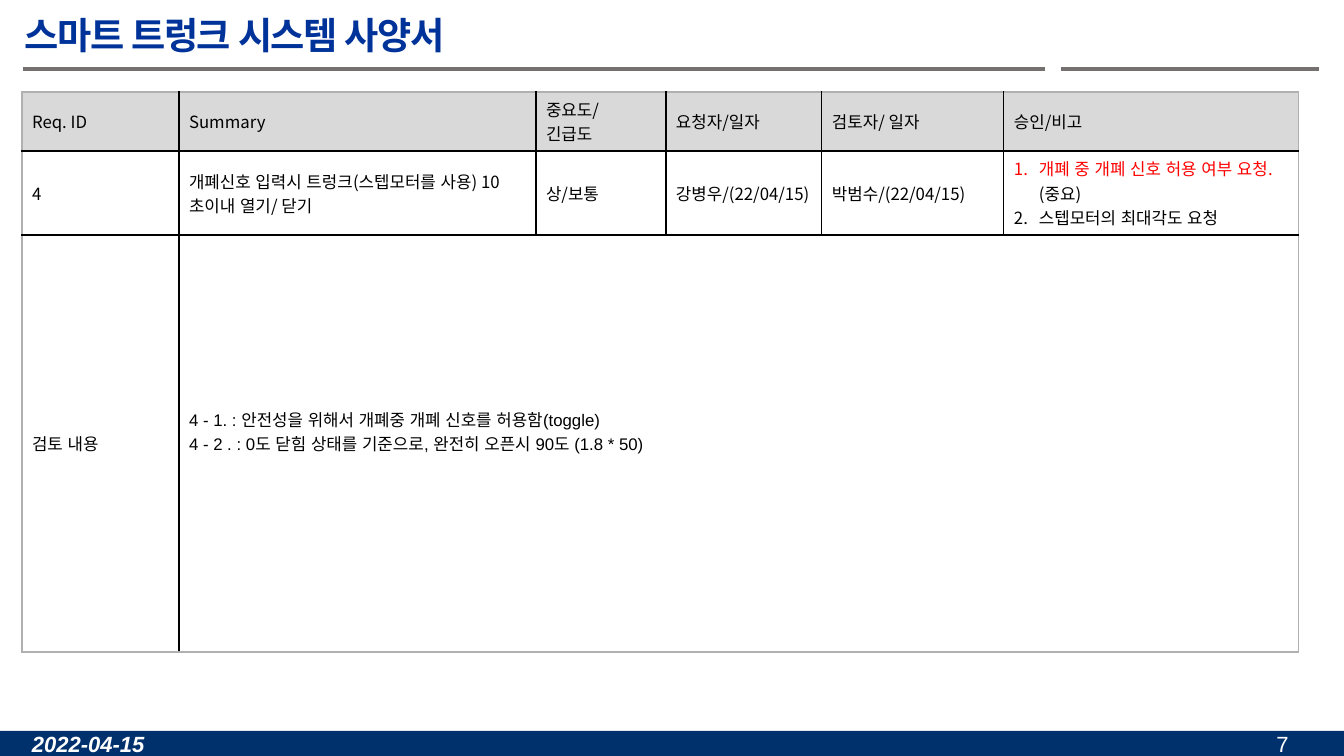
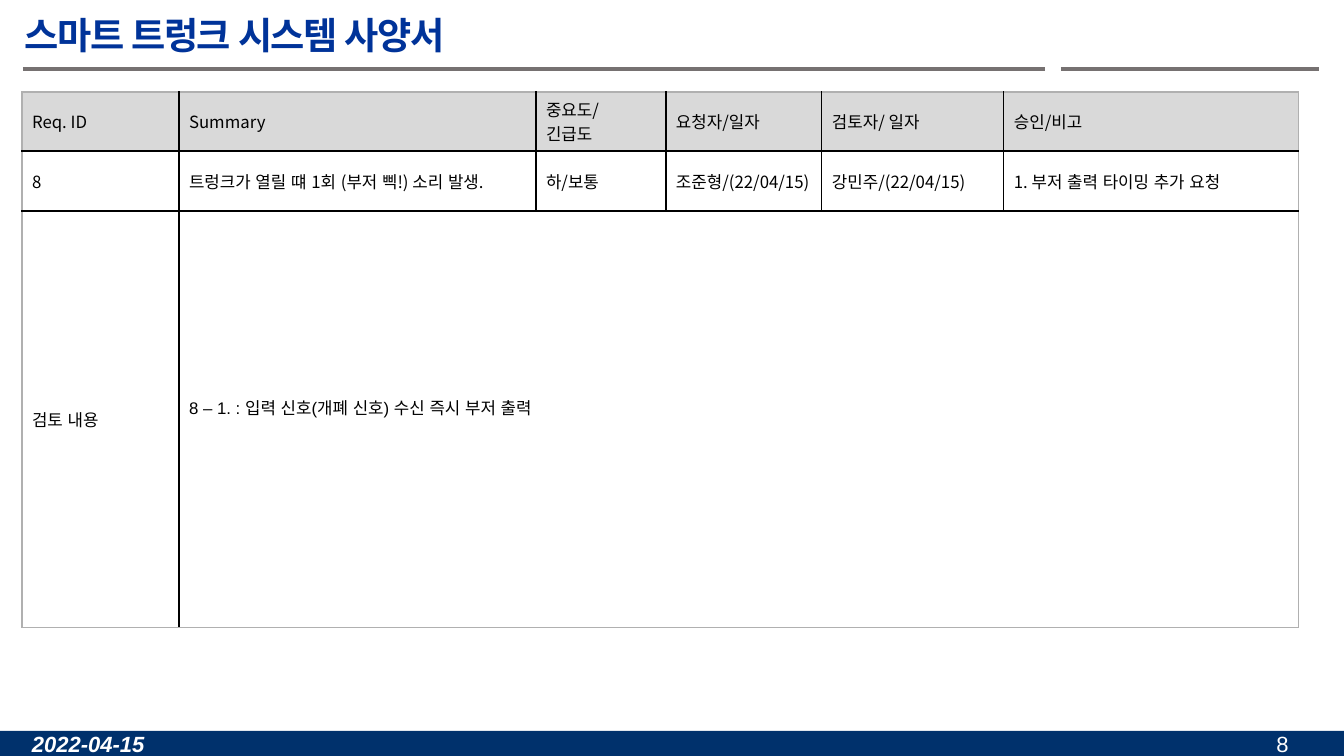
from lxml.etree import SubElement
from pptx import Presentation
from pptx.dml.color import RGBColor
from pptx.enum.lang import MSO_LANGUAGE_ID
from pptx.enum.shapes import MSO_CONNECTOR, MSO_SHAPE
from pptx.enum.text import MSO_ANCHOR, PP_ALIGN
from pptx.oxml.ns import qn
from pptx.util import Emu, Pt

NAVY = RGBColor(0x00, 0x31, 0x6C)
TITLE_BLUE = RGBColor(0x00, 0x33, 0x99)
OUTLINE_BLUE = RGBColor(0x00, 0x66, 0xFF)
RULE_GREY = RGBColor(0x76, 0x71, 0x71)
EDGE_GREY = RGBColor(0xB0, 0xB0, 0xB0)
HEADER_GREY = RGBColor(0xD9, 0xD9, 0xD9)
BLACK = RGBColor(0x00, 0x00, 0x00)
WHITE = RGBColor(0xFF, 0xFF, 0xFF)
RED = RGBColor(0xFF, 0x00, 0x00)

KOREAN_FONT = "Noto Sans CJK KR"
LATIN_FONT = "Arial"
WIDTH, HEIGHT = 1344, 756
FOOTER_TOP, FOOTER_HEIGHT = 731, 25
COLUMNS = (157, 357, 130, 156, 182, 295)
HEADER_HEIGHT, REVIEW_HEIGHT = 59, 417
HEADERS = ("Req. ID", "Summary", "중요도/\n긴급도", "요청자/일자", "검토자/ 일자", "승인/비고")
TITLE = "스마트 트렁크 시스템 사양서"
DATE = "2022-04-15"

REQUIREMENTS = (
    {
        "page": 7,
        "height": 84,
        "values": ("4", "개폐신호 입력시 트렁크(스텝모터를 사용) 10초이내 열기/ 닫기", "상/보통",
                   "강병우/(22/04/15)", "박범수/(22/04/15)"),
        "notes": ((("개폐 중 개폐 신호 허용 여부 요청.", RED), ("(중요)", BLACK)),
                  (("스텝모터의 최대각도 요청", BLACK),)),
        "numbered": True,
        "review": "4 - 1. : 안전성을 위해서 개폐중 개폐 신호를 허용함(toggle)\n"
                  "4 - 2 . : 0도 닫힘 상태를 기준으로, 완전히 오픈시 90도 (1.8 * 50)",
    },
    {
        "page": 8,
        "height": 60,
        "values": ("8", "트렁크가 열릴 떄 1회 (부저 삑!) 소리 발생.", "하/보통",
                   "조준형/(22/04/15)", "강민주/(22/04/15)"),
        "notes": ((("1. 부저 출력 타이밍 추가 요청", BLACK),),),
        "numbered": False,
        "review": "8 – 1. : 입력 신호(개폐 신호) 수신 즉시 부저 출력",
    },
)


def px(length):
    """Turn whole pixels into EMU."""
    return Emu(round(length * 914400 / 100.8))


def solid(parent, color, alpha=None):
    """Add a solid fill to an XML element."""
    fill = SubElement(parent, qn("a:solidFill"))
    tint = SubElement(fill, qn("a:srgbClr"), val=str(color))
    if alpha is not None:
        SubElement(tint, qn("a:alpha"), val=str(alpha))


class SpecificationDeck:
    """Hold the deck style and the current page."""

    def __init__(self):
        """Start an empty wide deck."""
        self.deck = Presentation()
        self.deck.slide_width = px(WIDTH)
        self.deck.slide_height = px(HEIGHT)
        self.page = None

    def add_page(self, number):
        """Add a page with title, rules and footer."""
        self.page = self.deck.slides.add_slide(self.deck.slide_layouts[6])
        self.band(0, FOOTER_TOP, WIDTH, FOOTER_HEIGHT, NAVY)
        self.rule(23, 1045, 69)
        self.rule(1061, 1319, 69)
        self.title(TITLE)
        self.text(DATE, 22, FOOTER_TOP, 187, FOOTER_HEIGHT, bold=True, italic=True)
        box = self.text(str(number), 1252, FOOTER_TOP, 61, FOOTER_HEIGHT)
        box.text_frame.paragraphs[0].alignment = PP_ALIGN.CENTER

    def band(self, left, top, width, height, color):
        """Draw a plain filled rectangle."""
        box = self.page.shapes.add_shape(
            MSO_SHAPE.RECTANGLE, px(left), px(top), px(width), px(height))
        box.shadow.inherit = False
        box.fill.solid()
        box.fill.fore_color.rgb = color
        box.line.fill.background()

    def rule(self, start, end, top):
        """Draw a horizontal rule."""
        line = self.page.shapes.add_connector(
            MSO_CONNECTOR.STRAIGHT, px(start), px(top), px(end), px(top))
        line.line.color.rgb = RULE_GREY
        line.line.width = Pt(3)
        SubElement(line._element.spPr, qn("a:effectLst"))

    def style(self, span, size, color, font, bold=False, italic=False):
        """Format one span of text."""
        span.font.size = Pt(size)
        span.font.name = font
        span.font.bold = bold
        span.font.italic = italic
        span.font.color.rgb = color
        span.font.language_id = MSO_LANGUAGE_ID.KOREAN
        SubElement(span.font._element, qn("a:ea"), typeface=KOREAN_FONT)

    def text(self, words, left, top, width, height, size=15.7, color=WHITE,
             font=LATIN_FONT, bold=False, italic=False):
        """Add a one-line text box."""
        box = self.page.shapes.add_textbox(px(left), px(top), px(width), px(height))
        frame = box.text_frame
        frame.word_wrap = True
        frame.vertical_anchor = MSO_ANCHOR.MIDDLE
        frame.text = words
        self.style(frame.paragraphs[0].runs[0], size, color, font, bold, italic)
        return box

    def title(self, words):
        """Add the page title with its faint outline."""
        box = self.text(words, 21, 7, 1298, 61, 26.6, TITLE_BLUE, KOREAN_FONT, bold=True)
        frame = box.text_frame
        frame.margin_left = frame.margin_right = px(4)
        frame.margin_top = frame.margin_bottom = px(4)
        para = frame.paragraphs[0]
        para.line_spacing = 0.9
        properties = para.runs[0].font._element
        properties.set("spc", "-120")
        outline = SubElement(properties, qn("a:ln"), w=str(Pt(0.5)))
        solid(outline, OUTLINE_BLUE, 10000)
        properties.insert(0, outline)

    def fill_cell(self, cell, words, font=KOREAN_FONT):
        """Write plain black text into a cell."""
        cell.text_frame.text = words
        for para in cell.text_frame.paragraphs:
            for span in para.runs:
                self.style(span, 12, BLACK, font)

    def fill_notes(self, cell, notes, numbered):
        """Write coloured notes, numbered on request."""
        frame = cell.text_frame
        for index, spans in enumerate(notes):
            para = frame.add_paragraph() if index else frame.paragraphs[0]
            for words, color in spans:
                span = para.add_run()
                span.text = words
                self.style(span, 12, color, KOREAN_FONT)
            if numbered:
                properties = para._p.get_or_add_pPr()
                properties.set("marL", str(px(25)))
                properties.set("indent", str(px(-25)))
                SubElement(properties, qn("a:buFont"), typeface="+mj-lt")
                SubElement(properties, qn("a:buAutoNum"), type="arabicPeriod")

    def finish_cell(self, cell, row, column):
        """Set the borders, fill and anchor of a cell."""
        cell.vertical_anchor = MSO_ANCHOR.MIDDLE
        properties = cell._tc.get_or_add_tcPr()
        outer = {
            "L": column == 0,
            "R": column + cell.span_width == len(COLUMNS),
            "T": row == 0,
            "B": row == 2,
        }
        for side, is_outer in outer.items():
            border = SubElement(properties, qn(f"a:ln{side}"), w=str(Pt(1)))
            solid(border, EDGE_GREY if is_outer else BLACK)
        if row == 0:
            cell.fill.solid()
            cell.fill.fore_color.rgb = HEADER_GREY
        else:
            cell.fill.background()

    def requirement_table(self, requirement):
        """Add the review table of one requirement."""
        heights = (HEADER_HEIGHT, requirement["height"], REVIEW_HEIGHT)
        table = self.page.shapes.add_table(
            len(heights), len(COLUMNS), px(22), px(92),
            px(sum(COLUMNS)), px(sum(heights))).table
        table.first_row = False
        table.horz_banding = False
        for column, width in zip(table.columns, COLUMNS):
            column.width = px(width)
        for row, height in zip(table.rows, heights):
            row.height = px(height)
        for row, texts in enumerate((HEADERS, requirement["values"])):
            for column, words in enumerate(texts):
                self.fill_cell(table.cell(row, column), words)
        self.fill_notes(table.cell(1, 5), requirement["notes"], requirement["numbered"])
        self.fill_cell(table.cell(2, 0), "검토 내용")
        review = table.cell(2, 1)
        review.merge(table.cell(2, 5))
        self.fill_cell(review, requirement["review"], LATIN_FONT)
        review.margin_bottom = px(29)
        for row in range(len(heights)):
            for column in range(len(COLUMNS)):
                cell = table.cell(row, column)
                if not cell.is_spanned:
                    self.finish_cell(cell, row, column)


def main():
    """Build and save the specification deck."""
    specification = SpecificationDeck()
    for requirement in REQUIREMENTS:
        specification.add_page(requirement["page"])
        specification.requirement_table(requirement)
    specification.deck.save("out.pptx")


if __name__ == "__main__":
    main()
